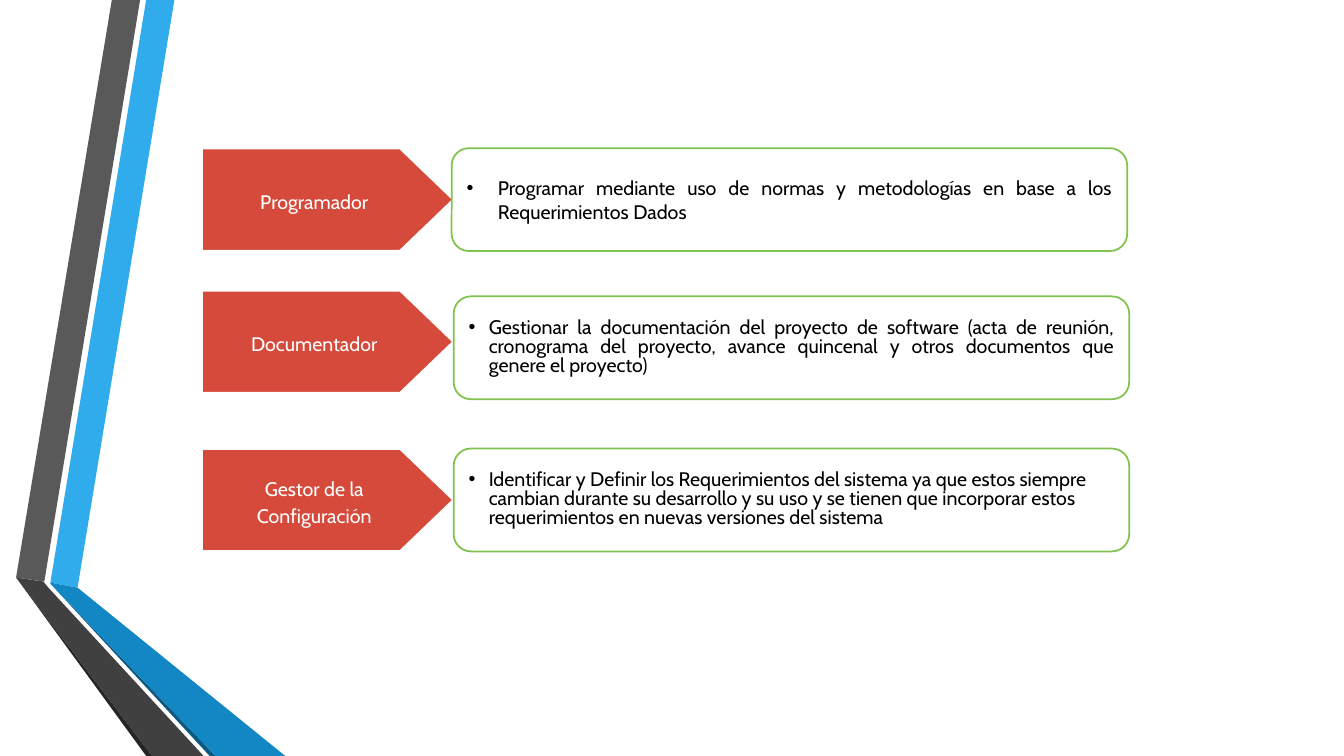
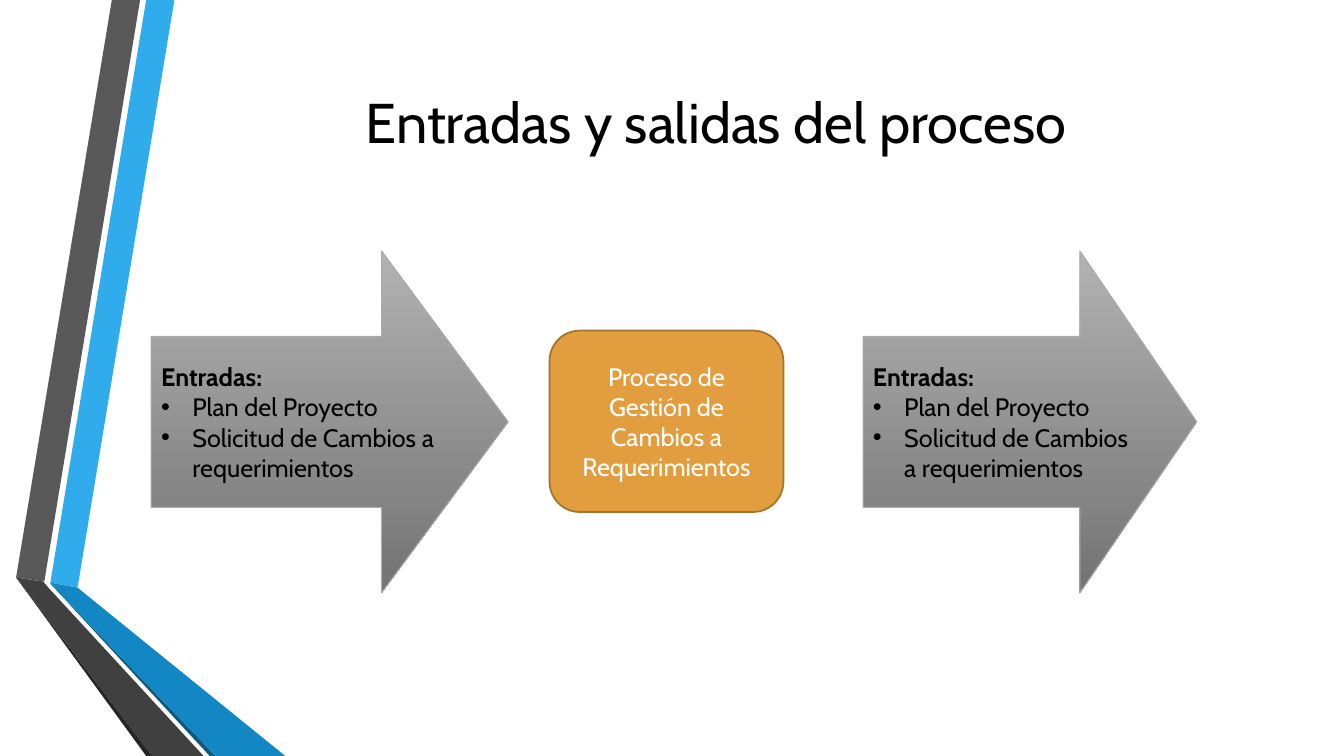
import pptx
import pptx.util
import pptx.dml.color
import pptx.enum.shapes
import pptx.enum.text
import pptx.oxml.ns
import lxml.etree

Inches = pptx.util.Inches
Pt = pptx.util.Pt
Kind = pptx.enum.shapes.MSO_SHAPE
Align = pptx.enum.text.PP_ALIGN

BANDS = [
    ("30ACEC", [(0.5, 5.78), (0.77, 5.83), (1.73, 0), (1.45, 0)]),
    ("595959", [(1.39, 0), (1.11, 0), (0.16, 5.73), (0.44, 5.77)]),
    ("262626", [(0.16, 5.73), (1.45, 7.5), (1.51, 7.5)]),
    ("0C5A82", [(0.5, 5.79), (2.08, 7.5), (2.14, 7.5)]),
    ("1287C3", [(0.5, 5.79), (2.14, 7.5), (2.83, 7.5), (0.77, 5.83), (0.5, 5.78)]),
    ("404040", [(2.02, 7.5), (0.48, 5.83), (0.43, 5.77), (0.16, 5.73), (1.51, 7.5)]),
]


def color(code):
    return pptx.dml.color.RGBColor.from_string(code)


def write(frame, text, size=14, ink="000000", bold=False, align=Align.LEFT,
          line=None, before=None, after=None, indent=None, first=True):
    par = frame.paragraphs[0] if first else frame.add_paragraph()
    par.alignment = align
    par.line_spacing = line
    par.space_before = None if before is None else Pt(before)
    par.space_after = None if after is None else Pt(after)
    run = par.add_run()
    run.text = text
    font = run.font
    font.name, font.size, font.bold = "Cabin", Pt(size), bold
    font.color.rgb = color(ink)
    if indent:
        props = par._p.get_or_add_pPr()
        props.set("marL", str(Inches(indent)))
        props.set("indent", str(-Inches(indent)))
        qn = pptx.oxml.ns.qn
        lxml.etree.SubElement(props, qn("a:buFont")).set("typeface", "Arial")
        lxml.etree.SubElement(props, qn("a:buChar")).set("char", "•")


class Deck:
    red, green, white = "D64A3B", "80C34F", "FFFFFF"
    amber, brown = "E29D3E", "A7742E"
    greys, edge = ("B2B2B2", "737373"), "ABABAB"

    def __init__(self):
        self.show = pptx.Presentation()
        self.show.slide_width = Inches(13.33)
        self.show.slide_height = Inches(7.5)

    def page(self):
        self.slide = self.show.slides.add_slide(self.show.slide_layouts[6])
        for fill, points in BANDS:
            self.band(fill, points)

    def band(self, fill, points):
        spots = [(Inches(x), Inches(y)) for x, y in points]
        path = self.slide.shapes.build_freeform(*spots[0])
        path.add_line_segments(spots[1:], close=True)
        shape = path.convert_to_shape()
        shape.shadow.inherit = False
        shape.fill.solid()
        shape.fill.fore_color.rgb = color(fill)
        shape.line.fill.background()

    def shape(self, kind, box, fill, line, width, adjust=()):
        shape = self.slide.shapes.add_shape(kind, *map(Inches, box))
        shape.shadow.inherit = False
        for i, value in enumerate(adjust):
            shape.adjustments[i] = value
        if isinstance(fill, str):
            shape.fill.solid()
            shape.fill.fore_color.rgb = color(fill)
        else:
            shape.fill.gradient()
            shape.fill.gradient_angle = 270
            for i, (stop, code) in enumerate(zip(shape.fill.gradient_stops, fill)):
                stop.position = i
                stop.color.rgb = color(code)
        shape.line.color.rgb = color(line)
        shape.line.width = Pt(width)
        return self.frame(shape)

    def frame(self, shape):
        frame = shape.text_frame
        frame.word_wrap = True
        frame.vertical_anchor = pptx.enum.text.MSO_ANCHOR.MIDDLE
        return frame

    def title(self, text):
        box = self.slide.shapes.add_textbox(*map(Inches, (1.62, 0.24, 10.96, 1.92)))
        write(self.frame(box), text, size=40, align=Align.CENTER)

    def role(self, text, top):
        frame = self.shape(Kind.PENTAGON, (2, top, 2.5, 1.02),
                           self.red, self.white, 1.75, [0.52])
        write(frame, text, ink=self.white, align=Align.CENTER, line=1.15, after=10)

    def duty(self, text, left, top, **style):
        frame = self.shape(Kind.ROUNDED_RECTANGLE, (left, top, 6.7, 1.02),
                           self.white, self.green, 1.25)
        write(frame, text, **style)

    def arrow(self, left, width, head, title, items):
        frame = self.shape(Kind.RIGHT_ARROW, (left, 2.49, width, 3.39),
                           self.greys, self.edge, 0.75, [0.5, head])
        write(frame, title, size=18, bold=True)
        for item in items:
            write(frame, item, size=18, indent=0.31, first=False)

    def step(self, text):
        frame = self.shape(Kind.ROUNDED_RECTANGLE, (5.45, 3.28, 2.32, 1.8),
                           self.amber, self.brown, 1.25)
        write(frame, text, size=18, ink=self.white, align=Align.CENTER)


deck = Deck()

deck.page()
tight = dict(indent=0.2, line=0.8, before=4, after=4)
deck.role("Programador", 1.47)
deck.duty("Programar mediante uso de normas y metodologías en base a los "
          "Requerimientos Dados", 4.48, 1.47, align=Align.JUSTIFY, indent=0.31)
deck.role("Documentador", 2.88)
deck.duty("Gestionar la documentación del proyecto de software (acta de reunión, "
          "cronograma del proyecto, avance quincenal y otros documentos que "
          "genere el proyecto)", 4.5, 2.94, align=Align.JUSTIFY, **tight)
deck.role("Gestor de la Configuración", 4.45)
deck.duty("Identificar y Definir los Requerimientos del sistema ya que estos "
          "siempre cambian durante su desarrollo y su uso y se tienen que "
          "incorporar estos requerimientos en nuevas versiones del sistema",
          4.5, 4.45, **tight)

deck.page()
deck.title("Entradas y salidas del proceso")
items = ["Plan del Proyecto", "Solicitud de Cambios a requerimientos"]
deck.arrow(1.5, 3.54, 0.37, "Entradas:", items)
deck.step("Proceso de Gestión de Cambios a Requerimientos")
deck.arrow(8.56, 3.31, 0.35, "Entradas:", items)

deck.show.save("out.pptx")
